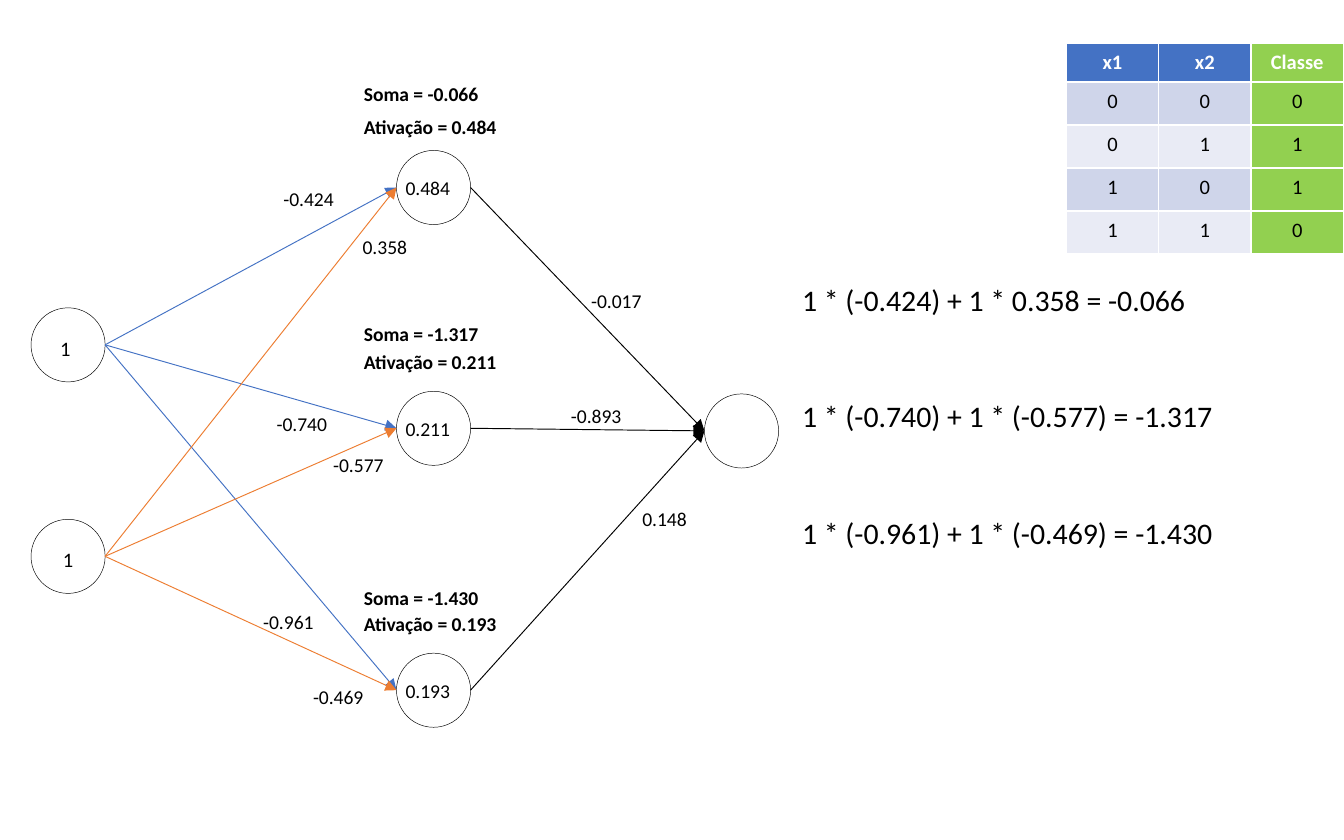
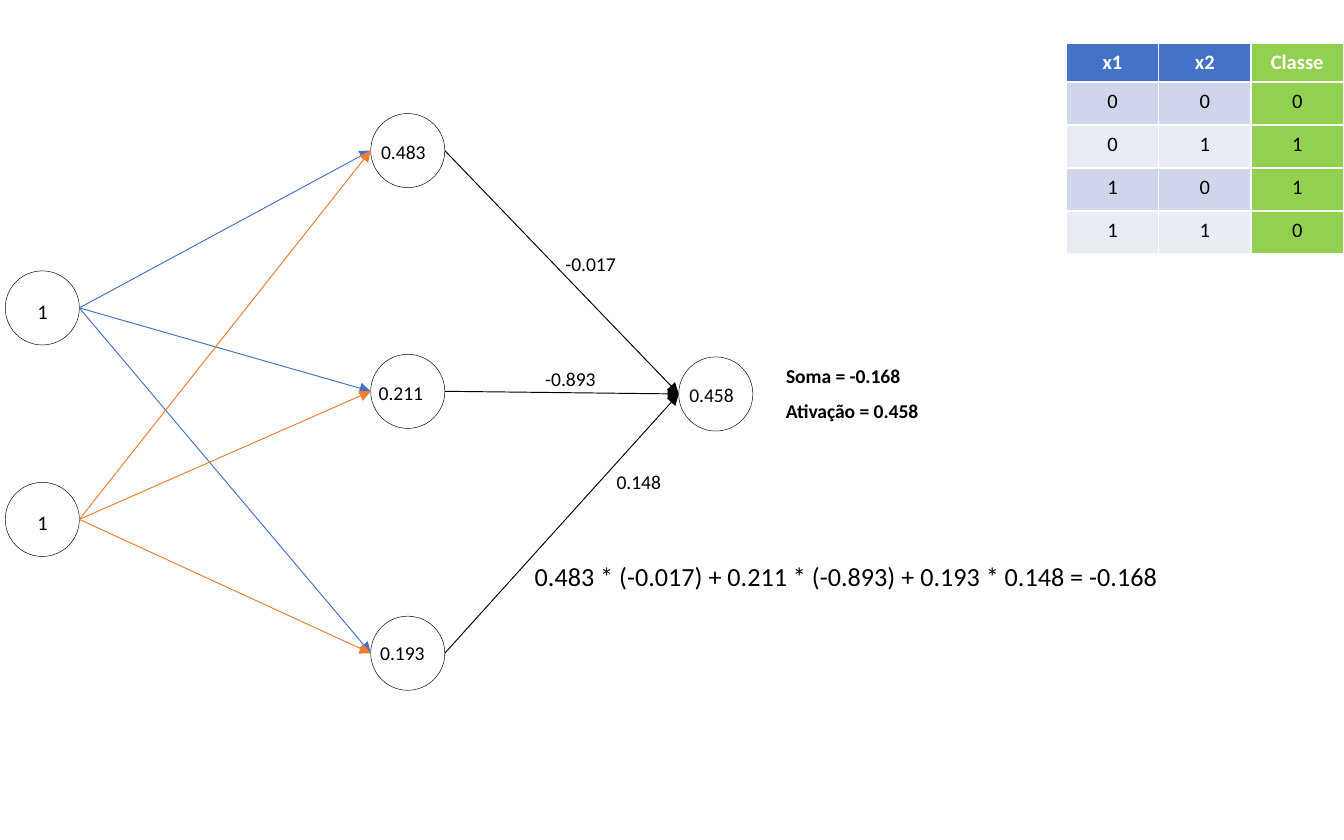
import lxml.etree
import pptx
import pptx.dml.color
import pptx.enum.shapes
import pptx.enum.text
import pptx.oxml.ns
import pptx.util

Pt = pptx.util.Pt
RGBColor = pptx.dml.color.RGBColor

BLACK = RGBColor(0x00, 0x00, 0x00)
WHITE = RGBColor(0xFF, 0xFF, 0xFF)
BLUE = RGBColor(0x44, 0x72, 0xC4)
ORANGE = RGBColor(0xED, 0x7D, 0x31)
GREEN = RGBColor(0x92, 0xD0, 0x50)
DARK_BAND = RGBColor(0xCF, 0xD5, 0xEA)
LIGHT_BAND = RGBColor(0xE9, 0xEB, 0xF5)

FONT = "Calibri"
LABEL_SIZE = 10.5
INPUT_SIZE = 11
DIAMETER = 39.7
INPUT_LEFT, INPUT_TOPS = 16.6, (164.9, 278.2)
HIDDEN_LEFT, HIDDEN_TOPS = 212.4, (80.6, 209.6, 349.9)
OUTPUT_LEFT, OUTPUT_TOP = 377.4, 211
POSITIVE_WIDTH, NEGATIVE_WIDTH = 44.6, 51.1
SUM_WIDTH, ACTIVATION_WIDTH = 94.3, 103.7

XOR_ROWS = (
    ("x1", "x2", "Classe"),
    ("0", "0", "0"),
    ("0", "1", "1"),
    ("1", "0", "1"),
    ("1", "1", "0"),
)
OUTPUT_WEIGHTS = (
    ("-0.017", 309.6, 151.2),
    ("-0.893", 298.8, 213.1),
    ("0.148", 337, 267.8),
)
INPUT_WEIGHTS = (
    ("-0.424", 144.7, 96.5),
    ("-0.740", 141.1, 217.4),
    ("-0.961", 133.9, 323.3),
    ("0.358", 187.2, 122.4),
    ("-0.577", 171.4, 239),
    ("-0.469", 160.6, 363.6),
)


def add_span(para, text, size, color=BLACK, bold=False):
    """Add one formatted run to a paragraph."""
    span = para.add_run()
    span.text = text
    span.font.name = FONT
    span.font.size = Pt(size)
    span.font.bold = bold
    span.font.color.rgb = color


def add_label(shapes, text, left, top, width, size=LABEL_SIZE, bold=False):
    """Add a one-line text box that does not wrap."""
    height = 1.22 * size + 7.2
    box = shapes.add_textbox(Pt(left), Pt(top), Pt(width), Pt(height))
    box.text_frame.word_wrap = False
    box.text_frame.auto_size = pptx.enum.text.MSO_AUTO_SIZE.SHAPE_TO_FIT_TEXT
    add_span(box.text_frame.paragraphs[0], text, size, bold=bold)


def add_value(shapes, text, left, top):
    """Add a weight or activation, with a box wider for negatives."""
    width = NEGATIVE_WIDTH if text.startswith("-") else POSITIVE_WIDTH
    add_label(shapes, text, left, top, width)


def add_sum_and_activation(shapes, total, activation, left, tops):
    """Add the bold sum and activation of one neuron."""
    add_label(shapes, f"Soma = {total}", left, tops[0], SUM_WIDTH, bold=True)
    add_label(shapes, f"Ativação = {activation}", left, tops[1], ACTIVATION_WIDTH, bold=True)


def add_neuron(shapes, left, top):
    """Add a white circle with a thin outline."""
    circle = shapes.add_shape(
        pptx.enum.shapes.MSO_SHAPE.OVAL, Pt(left), Pt(top), Pt(DIAMETER), Pt(DIAMETER)
    )
    circle.shadow.inherit = False
    circle.fill.solid()
    circle.fill.fore_color.rgb = WHITE
    circle.line.color.rgb = BLACK
    circle.line.width = Pt(0.25)


def add_arrow(shapes, start, end, color):
    """Connect the right edge of one neuron to the left edge of another."""
    radius = DIAMETER / 2
    arrow = shapes.add_connector(
        pptx.enum.shapes.MSO_CONNECTOR.STRAIGHT,
        Pt(start[0] + DIAMETER), Pt(start[1] + radius),
        Pt(end[0]), Pt(end[1] + radius),
    )
    arrow.line.color.rgb = color
    arrow.line.width = Pt(0.5)
    qualified = pptx.oxml.ns.qn
    outline = arrow.line._get_or_add_ln()
    lxml.etree.SubElement(outline, qualified("a:tailEnd"), type="triangle")
    lxml.etree.SubElement(arrow._element.spPr, qualified("a:effectLst"))


def add_network(page, shift_x=0, shift_y=0):
    """Draw the 2-3-1 network with its output weights and return its shapes."""
    shapes = page.shapes.add_group_shape().shapes
    inputs = [(INPUT_LEFT + shift_x, top + shift_y) for top in INPUT_TOPS]
    hidden = [(HIDDEN_LEFT + shift_x, top + shift_y) for top in HIDDEN_TOPS]
    output = (OUTPUT_LEFT + shift_x, OUTPUT_TOP + shift_y)
    for neuron in (*inputs, *hidden, output):
        add_neuron(shapes, *neuron)
    for neuron in hidden:
        add_arrow(shapes, neuron, output, BLACK)
    for source, color in zip(inputs, (BLUE, ORANGE)):
        for neuron in hidden:
            add_arrow(shapes, source, neuron, color)
    for text, left, top in OUTPUT_WEIGHTS:
        add_value(shapes, text, left + shift_x, top + shift_y)
    return shapes


def add_input_values(shapes, places):
    """Write the value 1 in each input neuron."""
    for left, top in places:
        add_label(shapes, "1", left, top, 21.6, INPUT_SIZE)


def cell_color(row, column):
    """Return the fill of a cell of the truth table."""
    if column == 2:
        return GREEN
    if row == 0:
        return BLUE
    return DARK_BAND if row % 2 else LIGHT_BAND


def add_truth_table(page):
    """Add the table of inputs and classes."""
    frame = page.shapes.add_table(5, 3, Pt(571.2), Pt(23), Pt(148.5), Pt(109.5))
    table = frame.table
    for column in table.columns:
        column.width = Pt(49.5)
    for index, row in enumerate(table.rows):
        row.height = Pt(23.05 if index else 17.3)
    for row, texts in enumerate(XOR_ROWS):
        for column, text in enumerate(texts):
            cell = table.cell(row, column)
            cell.fill.solid()
            cell.fill.fore_color.rgb = cell_color(row, column)
            para = cell.text_frame.paragraphs[0]
            para.alignment = pptx.enum.text.PP_ALIGN.CENTER
            add_span(para, text, 11, BLACK if row else WHITE, bold=row == 0)


def add_page(deck):
    """Add a blank page with the truth table."""
    page = deck.slides.add_slide(deck.slide_layouts[6])
    add_truth_table(page)
    return page


def build_hidden_layer_page(deck):
    """Show how the hidden neurons are computed."""
    page = add_page(deck)
    network = add_network(page)
    add_input_values(network, ((25.2, 176.4), (26.6, 289.4)))
    for weight in INPUT_WEIGHTS:
        add_value(network, *weight)
    formulas = (
        ("1 * (-0.424) + 1 * 0.358 = -0.066", 147.6, 285),
        ("1 * (-0.740) + 1 * (-0.577) = -1.317", 209.5, 305),
        ("1 * (-0.961) + 1 * (-0.469) = -1.430", 272.2, 305),
    )
    for text, top, width in formulas:
        add_label(page.shapes, text, 422.6, top, width, 16)
    neurons = (
        ("-0.066", "0.484", (40.3, 57.8)),
        ("-1.317", "0.211", (168.7, 183.8)),
        ("-1.430", "0.193", (310.1, 324.2)),
    )
    for (total, activation, tops), neuron_top in zip(neurons, HIDDEN_TOPS):
        add_sum_and_activation(page.shapes, total, activation, 187.9, tops)
        add_value(page.shapes, activation, 210.2, neuron_top + 10.1)


def build_output_page(deck):
    """Show how the output neuron is computed."""
    page = add_page(deck)
    network = add_network(page, -13.8, -19.8)
    add_input_values(network, ((13, 156.4), (13, 269.5)))
    formula = "0.483 * (-0.017) + 0.211 * (-0.893) + 0.193 * 0.148 = -0.168"
    add_label(page.shapes, formula, 279.4, 296.6, 446.4, 14)
    activations = (
        ("0.483", 197.1, 71.5),
        ("0.211", 195.8, 200.7),
        ("0.193", 196.6, 340),
        ("0.458", 362.2, 201.6),
    )
    for activation in activations:
        add_value(page.shapes, *activation)
    add_sum_and_activation(page.shapes, "-0.168", "0.458", 414, (191.7, 210.4))


def main():
    """Build and save the deck."""
    deck = pptx.Presentation()
    deck.slide_width, deck.slide_height = Pt(720), Pt(450)
    build_hidden_layer_page(deck)
    build_output_page(deck)
    deck.save("out.pptx")


if __name__ == "__main__":
    main()
